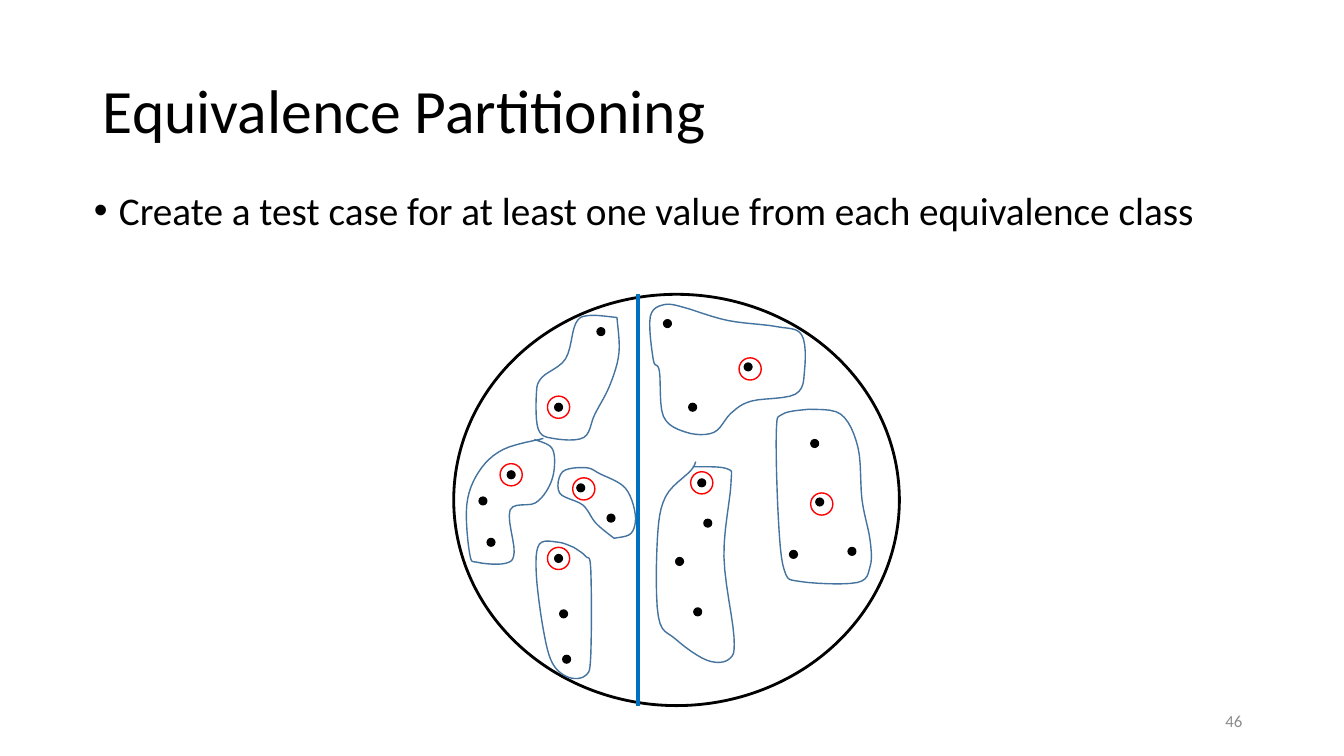
from pptx import Presentation
from pptx.dml.color import RGBColor
from pptx.enum.shapes import MSO_CONNECTOR, MSO_SHAPE
from pptx.enum.text import MSO_ANCHOR, PP_ALIGN
from pptx.oxml import parse_xml
from pptx.oxml.ns import nsdecls
from pptx.util import Inches, Pt

OVAL = MSO_SHAPE.OVAL
STRAIGHT = MSO_CONNECTOR.STRAIGHT
MIDDLE = MSO_ANCHOR.MIDDLE
LEFT, RIGHT = PP_ALIGN.LEFT, PP_ALIGN.RIGHT


class Theme:
    font = "Calibri"
    black = RGBColor(0x00, 0x00, 0x00)
    blue = RGBColor(0x00, 0x70, 0xC0)
    steel = RGBColor(0x43, 0x73, 0x9E)
    red = RGBColor(0xFF, 0x00, 0x00)
    gray = RGBColor(0x8C, 0x8C, 0x8C)
    title, body, number = Pt(44), Pt(28), Pt(12)


def write(box, place, text, size, color, align):
    box.left, box.top, box.width, box.height = map(Inches, place)
    box.text_frame.word_wrap = True
    para = box.text_frame.paragraphs[0]
    para.alignment = align
    run = para.add_run()
    run.text = text
    run.font.name, run.font.size = Theme.font, size
    run.font.color.rgb = color
    return para


def style(shape, color, width, fill=None):
    shape.shadow.inherit = False
    if fill is None:
        shape.fill.background()
    else:
        shape.fill.solid()
        shape.fill.fore_color.rgb = fill
    shape.line.color.rgb = color
    shape.line.width = Pt(width)


deck = Presentation()
deck.slide_width, deck.slide_height = Inches(13.33), Inches(7.5)
slide = deck.slides.add_slide(deck.slide_layouts[1])
shapes = slide.shapes

# Title and bullet
title, body = shapes.title, slide.placeholders[1]
para = write(title, (0.92, 0.4, 11.5, 1.45), "Equivalence Partitioning",
             Theme.title, Theme.black, LEFT)
para.line_spacing = 0.9
title.text_frame.vertical_anchor = MIDDLE

para = write(body, (0.83, 1.85, 11.68, 0.92),
             "Create a test case for at least one value from each equivalence class",
             Theme.body, Theme.black, LEFT)
para.line_spacing = 0.9
para.space_before = Pt(0)
props = para._p.get_or_add_pPr()
props.set("marL", str(Inches(0.25)))
props.set("indent", str(-Inches(0.25)))
props.append(parse_xml(f'<a:buChar {nsdecls("a")} char="•"/>'))

# Input domain, split in two
domain = shapes.add_shape(OVAL, Inches(4.5), Inches(2.92), Inches(4.42), Inches(4.08))
style(domain, Theme.black, 2)
split = shapes.add_connector(STRAIGHT, Inches(6.33), Inches(2.92), Inches(6.33), Inches(7))
split.line.color.rgb = Theme.blue
split.line.width = Pt(3)
split._element.spPr.append(parse_xml(f'<a:effectLst {nsdecls("a")}/>'))

# Equivalence classes: each outline is a smooth curve through a few knots
classes = [
    [(6.12, 3.15), (5.84, 3.13), (5.71, 3.21), (5.61, 3.56), (5.37, 3.75), (5.32, 3.92),
     (5.34, 4.26), (5.49, 4.35), (5.79, 4.34), (5.9, 4.11), (6.05, 3.82), (6.14, 3.5),
     (6.12, 3.15)],
    [(5.39, 4.35), (4.99, 4.46), (4.75, 4.68), (4.63, 5.01), (4.66, 5.5), (4.74, 5.58),
     (5.01, 5.59), (5.1, 5.48), (5.06, 5.06), (5.31, 4.99), (5.45, 4.82), (5.5, 4.62),
     (5.47, 4.44), (5.3, 4.36)],
    [(5.69, 5.43), (5.54, 5.38), (5.35, 5.4), (5.32, 5.7), (5.39, 6.25), (5.48, 6.58),
     (5.64, 6.72), (5.81, 6.7), (5.86, 6.5), (5.86, 5.65), (5.81, 5.52), (5.69, 5.43)],
    [(6.9, 4.58), (6.85, 4.67), (6.6, 4.93), (6.52, 5.35), (6.53, 6.12), (6.7, 6.34),
     (7.01, 6.55), (7.23, 6.54), (7.28, 6.32), (7.18, 5.52), (7.25, 4.8), (7.21, 4.65),
     (6.87, 4.63)],
    [(6.82, 3.06), (6.6, 3.02), (6.45, 3.14), (6.48, 3.57), (6.54, 3.68), (6.58, 4.13),
     (6.81, 4.29), (7.08, 4.29), (7.25, 4.1), (7.45, 3.98), (7.89, 3.91), (7.98, 3.67),
     (7.95, 3.32), (7.7, 3.24), (7.22, 3.18), (6.82, 3.06)],
    [(6.09, 5.34), (6.26, 5.29), (6.3, 5.1), (6.2, 4.84), (5.95, 4.7), (5.81, 4.64),
     (5.58, 4.68), (5.55, 4.89), (5.78, 5.01), (5.91, 5.19), (6.09, 5.34)],
    [(8.02, 4.06), (7.76, 4.11), (7.7, 4.28), (7.72, 5.14), (7.78, 5.66), (7.94, 5.77),
     (8.5, 5.78), (8.63, 5.62), (8.63, 5.36), (8.55, 4.96), (8.51, 4.44), (8.34, 4.11),
     (8.02, 4.06)],
]
STEPS = 6
for knots in classes:
    pen = shapes.build_freeform(*map(Inches, knots[0]))
    guide = [knots[0], *knots, knots[-1]]
    curve = []
    for a, b, c, d in zip(guide, guide[1:], guide[2:], guide[3:]):
        for step in range(1, STEPS + 1):
            t = step / STEPS
            curve.append([
                Inches(q + t * ((r - p) + t * ((2 * p - 5 * q + 4 * r - s)
                                               + t * (3 * q - p - 3 * r + s))) / 2)
                for p, q, r, s in zip(a, b, c, d)])
    pen.add_line_segments(curve, close=False)
    style(pen.convert_to_shape(), Theme.steel, 1)

# Values, and a ring round each one chosen for a test
values = [
    (6.83, 4), (6.58, 3.17), (7.38, 3.6), (5.92, 3.25), (5.5, 4),
    (4.75, 4.93), (5.03, 4.67), (4.83, 5.34), (5.72, 4.8), (6.02, 5.1),
    (5.5, 5.5), (5.55, 6.05), (5.58, 6.5), (6.92, 4.75), (6.98, 5.15),
    (6.7, 5.53), (6.88, 6.03), (8.04, 4.36), (8.09, 4.94), (7.83, 5.46), (8.41, 5.43)]
chosen = [(8.04, 4.89), (6.85, 4.68), (5.43, 5.43), (5.68, 4.74),
          (5.43, 3.93), (4.96, 4.6), (7.33, 3.55)]
for spots, size, color, width, fill in (
        (values, 0.08, Theme.black, 0.75, Theme.black),
        (chosen, 0.22, Theme.red, 1, None)):
    for x, y in spots:
        mark = shapes.add_shape(OVAL, Inches(x), Inches(y), Inches(size), Inches(size))
        style(mark, color, width, fill)

# Slide number
place = (9.42, 6.95, 3, 0.4)
number = shapes.add_textbox(*map(Inches, place))
write(number, place, "46", Theme.number, Theme.gray, RIGHT)
number.text_frame.vertical_anchor = MIDDLE

deck.save("out.pptx")
